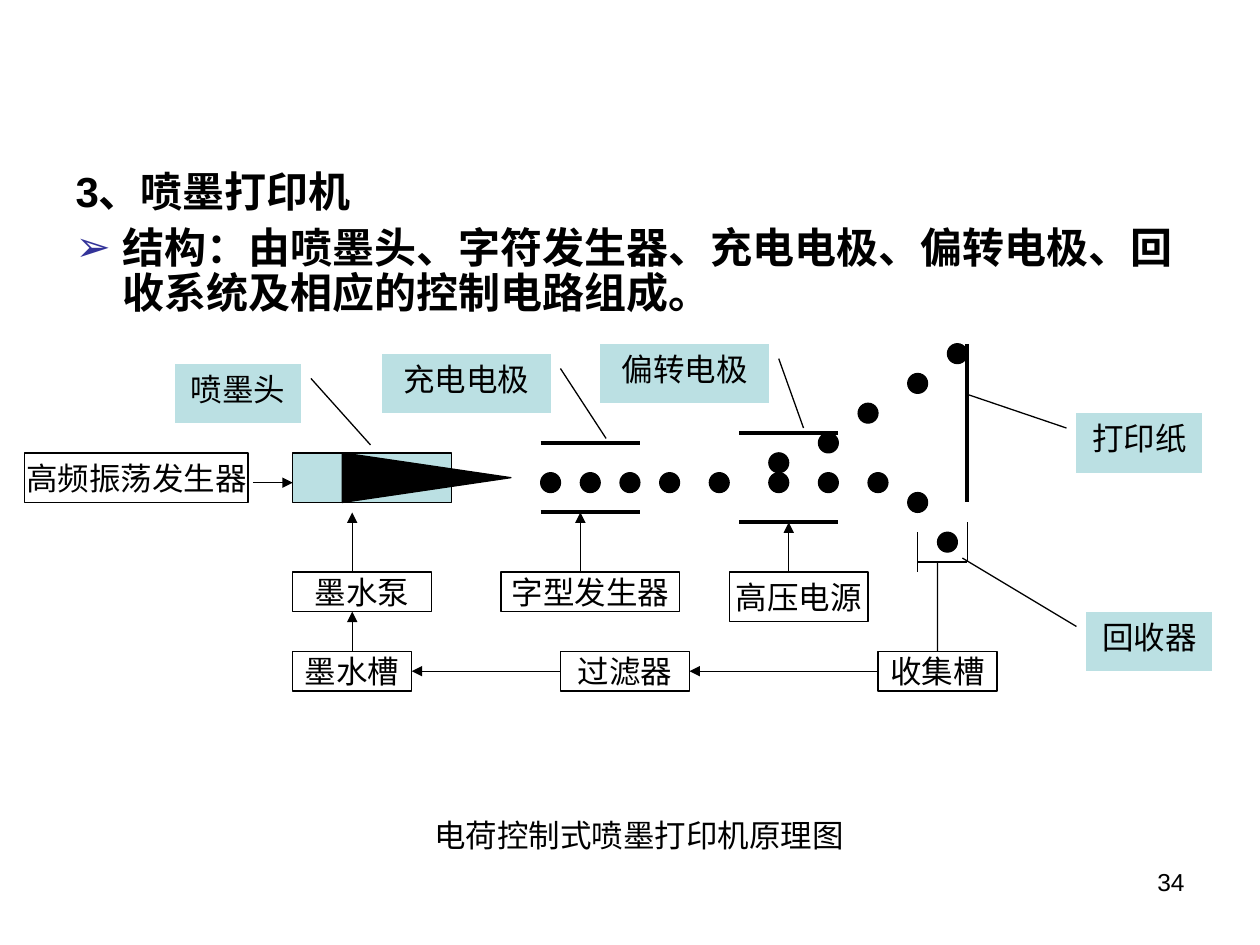
from lxml import etree
from pptx import Presentation
from pptx.dml.color import RGBColor
from pptx.enum.shapes import MSO_CONNECTOR as Link, MSO_SHAPE as Shape
from pptx.enum.text import MSO_ANCHOR as Anchor, MSO_AUTO_SIZE as Fit, PP_ALIGN as Align
from pptx.oxml.ns import qn
from pptx.util import Cm, Pt

COLORS = {"ink": "000000", "tint": "BBE0E3", "mark": "333399", "page": "FFFFFF"}
THIN, THICK = 0.75, 2.25
TOP, LEFT, RIGHT = 0, 1, 3
DOT = 0.4


def color(name):
    return RGBColor.from_string(COLORS[name])


def add_run(para, text, size, bold=False):
    run = para.add_run()
    run.text = text
    font = run.font
    font.name, font.size, font.bold = "Arial", Pt(size), bold
    font.color.rgb = color("ink")


def add_part(slide, kind, x, y, w, h, fill=None):
    part = slide.shapes.add_shape(kind, Cm(x), Cm(y), Cm(w), Cm(h))
    part.shadow.inherit = False
    if fill:
        part.fill.solid()
        part.fill.fore_color.rgb = color(fill)
    else:
        part.fill.background()
    part.line.color.rgb = color("ink")
    part.line.width = Pt(THIN)
    return part


def add_line(slide, x1, y1, x2, y2, width=THIN, arrow=False, start=None, end=None):
    """Draw a line; start and end are (shape, side) pairs to join."""
    line = slide.shapes.add_connector(Link.STRAIGHT, Cm(x1), Cm(y1), Cm(x2), Cm(y2))
    line.line.color.rgb = color("ink")
    line.line.width = Pt(width)
    if arrow:
        etree.SubElement(line.line._get_or_add_ln(), qn("a:tailEnd"), type="triangle")
    etree.SubElement(line._element.spPr, qn("a:effectLst"))
    if start:
        line.begin_connect(*start)
    if end:
        line.end_connect(*end)


def add_label(slide, text, x, y, w, h):
    part = add_part(slide, Shape.RECTANGLE, x, y, w, h)
    frame = part.text_frame
    frame.word_wrap = False
    frame.vertical_anchor = Anchor.MIDDLE
    frame.margin_left = frame.margin_right = Cm(0.05)
    frame.margin_top = frame.margin_bottom = Cm(0.03)
    frame.paragraphs[0].alignment = Align.CENTER
    add_run(frame.paragraphs[0], text, 18)
    return part


def add_note(slide, text, x, y, w, tip):
    """Add a callout whose line runs from the side nearest the tip."""
    h, gap = 1.2, 0.2
    part = add_part(slide, Shape.LINE_CALLOUT_1_NO_BORDER, x, y, w, h, "tint")
    near = -gap if tip[0] < x else w + gap
    points = (0.25, near / w, (tip[1] - y) / h, (tip[0] - x) / w)
    for i, value in enumerate(points):
        part.adjustments[i] = value
    frame = part.text_frame
    frame.vertical_anchor = Anchor.TOP
    frame.paragraphs[0].alignment = Align.CENTER
    add_run(frame.paragraphs[0], text, 18)


def add_text(slide, text, x, y, w, h, size, align=Align.LEFT):
    frame = slide.shapes.add_textbox(Cm(x), Cm(y), Cm(w), Cm(h)).text_frame
    frame.word_wrap = True
    frame.paragraphs[0].alignment = align
    add_run(frame.paragraphs[0], text, size)


def fill_body(body, x, y, w, h):
    body.left, body.top, body.width, body.height = Cm(x), Cm(y), Cm(w), Cm(h)
    frame = body.text_frame
    frame.auto_size = Fit.NONE
    lines = (
        ("3、喷墨打印机", None, 0),
        ("结构：由喷墨头、字符发生器、充电电极、偏转电极、回收系统及相应的控制电路组成。", "➢", 6),
    )
    for i, (text, mark, space) in enumerate(lines):
        para = frame.add_paragraph() if i else frame.paragraphs[0]
        props = para._p.get_or_add_pPr()
        props.set("marL", str(Cm(0.95)))
        props.set("indent", str(-Cm(0.95)))
        if mark:
            tint = etree.SubElement(props, qn("a:buClr"))
            etree.SubElement(tint, qn("a:srgbClr"), val=COLORS["mark"])
            etree.SubElement(props, qn("a:buChar"), char=mark)
        else:
            etree.SubElement(props, qn("a:buNone"))
        para.line_spacing = 0.9
        para.space_before = Pt(space)
        add_run(para, text, 24, True)


def draw_flow(slide, x, y):
    """Labelled boxes and the arrows of the ink and signal paths."""
    add_label(slide, "高频振荡发生器", x, y + 2.2, 4.5, 1)
    add_label(slide, "墨水泵", x + 5.4, y + 4.6, 2.8, 0.8)
    add_label(slide, "字型发生器", x + 9.6, y + 4.6, 3.6, 0.8)
    add_label(slide, "高压电源", x + 14.2, y + 4.6, 2.8, 1)
    tank = add_label(slide, "墨水槽", x + 5.4, y + 6.2, 2.4, 0.8)
    sieve = add_label(slide, "过滤器", x + 10.8, y + 6.2, 2.6, 0.8)
    trough = add_label(slide, "收集槽", x + 17.2, y + 6.2, 2.4, 0.8)

    add_line(slide, x + 4.6, y + 2.8, x + 5.4, y + 2.8, arrow=True)
    for dx, end in ((6.6, 3.4), (11.2, 3.4), (15.4, 3.6)):
        add_line(slide, x + dx, y + 4.6, x + dx, y + end, arrow=True)
    add_line(slide, x + 6.6, y + 6.2, x + 6.6, y + 5.4, arrow=True, start=(tank, TOP))
    add_line(slide, x + 17.2, y + 6.6, x + 13.4, y + 6.6, arrow=True,
             start=(trough, LEFT), end=(sieve, RIGHT))
    add_line(slide, x + 10.8, y + 6.6, x + 7.8, y + 6.6, arrow=True,
             start=(sieve, LEFT), end=(tank, RIGHT))
    add_line(slide, x + 18.4, y + 4.4, x + 18.4, y + 6.2, end=(trough, TOP))


def draw_jet(slide, x, y):
    """Print head, electrodes, drops, paper and catcher."""
    add_part(slide, Shape.RECTANGLE, x + 5.4, y + 2.2, 3.2, 1, "tint")
    cone = add_part(slide, Shape.ISOSCELES_TRIANGLE, x + 7.6, y + 1, 1, 3.4, "ink")
    cone.rotation = 90

    for dx, dy in ((10.4, 2), (10.4, 3.4), (14.4, 1.8), (14.4, 3.6)):
        add_line(slide, x + dx, y + dy, x + dx + 2, y + dy, THICK)
    add_line(slide, x + 19, y, x + 19, y + 3.2, THICK)

    level = [(dx, 2.6) for dx in (10.4, 11.2, 12, 12.8, 13.8, 15, 16, 17)]
    rise = [(15, 2.2), (16, 1.8), (16.8, 1.2), (17.8, 0.6), (18.6, 0)]
    fall = [(17.8, 3), (18.4, 3.8)]
    for dx, dy in level + rise + fall:
        add_part(slide, Shape.OVAL, x + dx, y + dy, DOT, DOT, "ink")

    for x1, y1, x2, y2 in ((18, 3.8, 18, 4.6), (18, 4.4, 19, 4.4), (19, 3.6, 19, 4.4)):
        add_line(slide, x + x1, y + y1, x + x2, y + y2)


def draw_notes(slide, x, y):
    notes = (
        ("回收器", 21.4, 5.4, 2.54, (18.9, 4.32)),
        ("打印纸", 21.2, 1.4, 2.54, (19, 1.02)),
        ("喷墨头", 3.03, 0.4, 2.54, (6.97, 2.04)),
        ("充电电极", 7.2, 0.2, 3.4, (11.72, 1.91)),
        ("偏转电极", 11.6, 0, 3.4, (15.7, 1.7)),
    )
    for text, dx, dy, w, tip in notes:
        add_note(slide, text, x + dx, y + dy, w, (x + tip[0], y + tip[1]))


def main():
    deck = Presentation()
    deck.slide_width, deck.slide_height = Cm(25.4), Cm(19.05)
    slide = deck.slides.add_slide(deck.slide_layouts[1])
    title = slide.shapes.title._element
    title.getparent().remove(title)
    slide.background.fill.solid()
    slide.background.fill.fore_color.rgb = color("page")

    fill_body(slide.placeholders[1], 1.27, 3.33, 23.44, 3.4)
    for draw in (draw_flow, draw_jet, draw_notes):
        draw(slide, 0.5, 6.93)
    add_text(slide, "电荷控制式喷墨打印机原理图", 8.5, 16.33, 9, 1.02, 18)
    add_text(slide, "34", 18.2, 17.35, 5.93, 1.32, 14, Align.RIGHT)
    deck.save("out.pptx")


if __name__ == "__main__":
    main()
